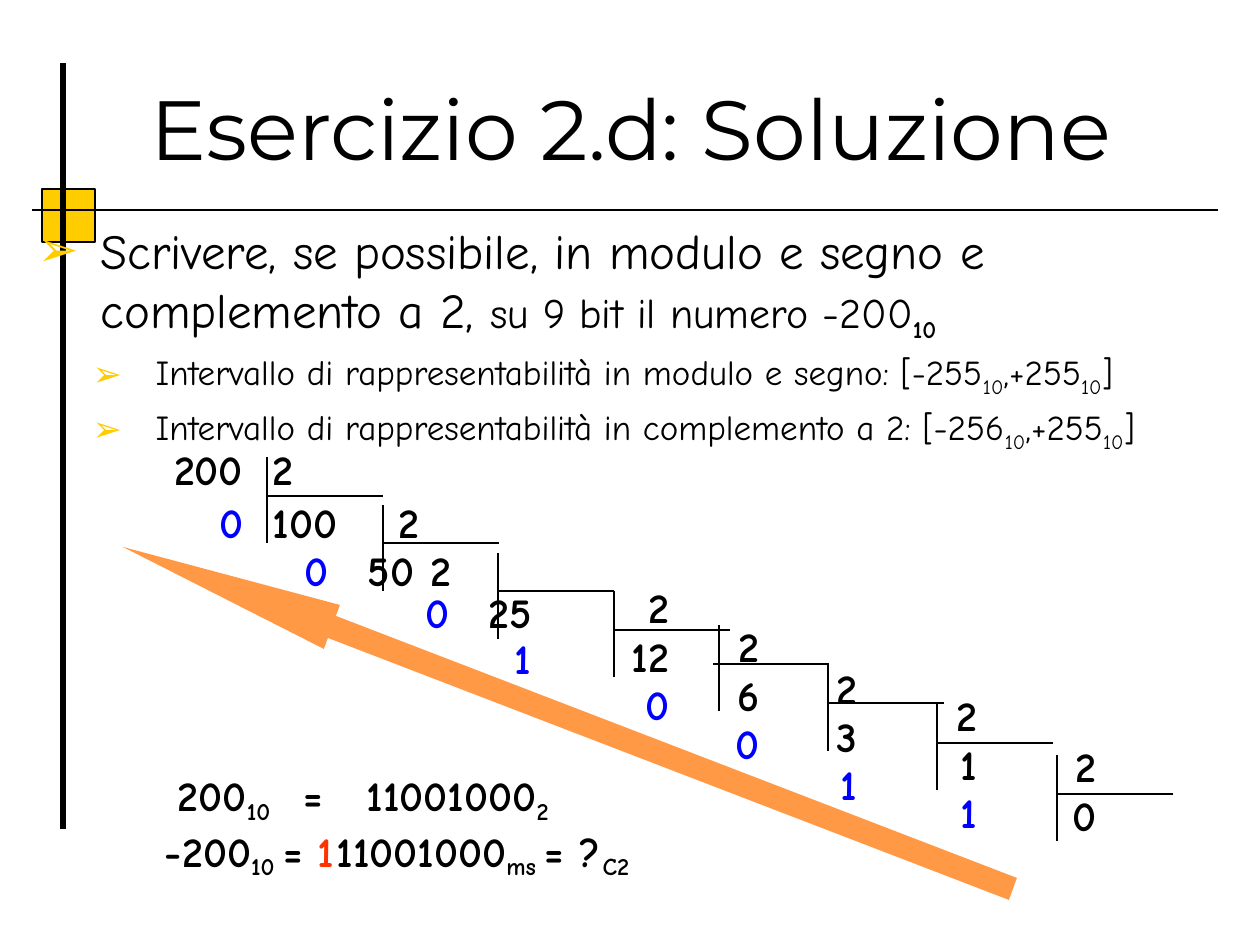
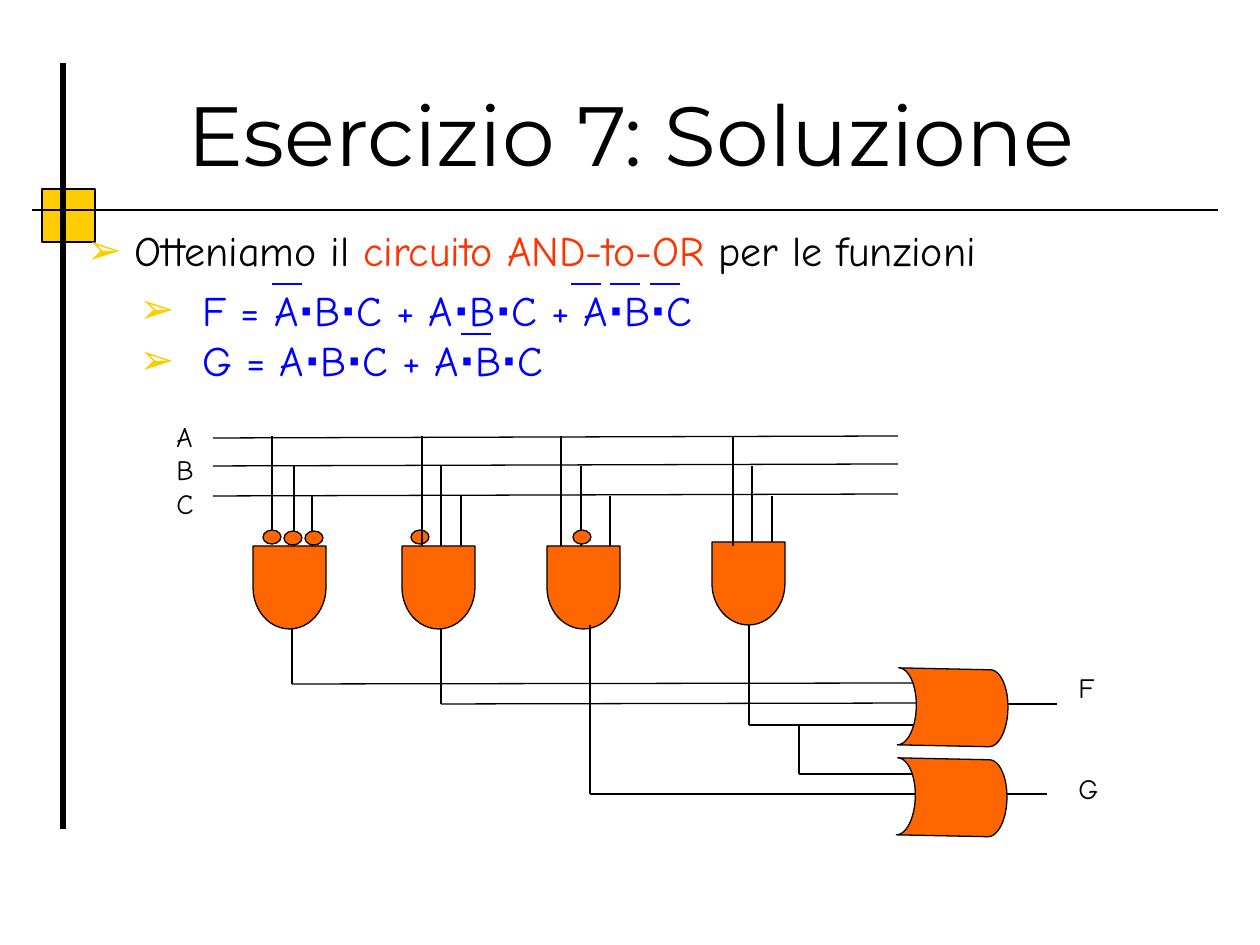
from lxml import etree
from pptx import Presentation
from pptx.dml.color import RGBColor
from pptx.enum.shapes import MSO_CONNECTOR, MSO_SHAPE
from pptx.enum.text import MSO_ANCHOR, MSO_AUTO_SIZE, PP_ALIGN
from pptx.oxml.ns import qn
from pptx.util import Inches, Pt

PX = 7257
COLORS = {"black": "000000", "yellow": "FFCC00", "blue": "0000FF", "red": "FF3300",
          "arrow": "FF9946", "gate": "FF6600"}
BODY_FONT = "Comic Neue"
SUB = {"baseline": "-25000"}
LOW = {"baseline": "-20000"}


def write(tf, *runs, size=24, color="black", font=BODY_FONT, bold=False, align=None,
          left=0, indent=0, before=0, spacing=1.0, bullet=False, tabs=(), level=0):
    p = tf.add_paragraph() if tf.text else tf.paragraphs[0]
    p.level, p.alignment = level, align
    p.line_spacing, p.space_before = spacing, Pt(before)
    pPr = p._p.get_or_add_pPr()
    pPr.set("marL", str(left * PX))
    pPr.set("indent", str(indent * PX))
    if bullet:
        clr = etree.SubElement(pPr, qn("a:buClr"))
        etree.SubElement(clr, qn("a:srgbClr"), val=COLORS["yellow"])
        etree.SubElement(pPr, qn("a:buFont"), typeface="Arial")
        etree.SubElement(pPr, qn("a:buChar"), char="➢")
    if tabs:
        tab_list = etree.SubElement(pPr, qn("a:tabLst"))
        for pos in tabs:
            etree.SubElement(tab_list, qn("a:tab"), pos=str(pos * PX), algn="l")
    for run in runs:
        text, fmt = (run, {}) if isinstance(run, str) else run
        r = p.add_run()
        r.text = text
        r.font.name = fmt.get("font", font)
        r.font.size = Pt(fmt.get("size", size))
        r.font.bold = fmt.get("bold", bold)
        r.font.color.rgb = RGBColor.from_string(COLORS[fmt.get("color", color)])
        for key in ("baseline", "spc"):
            if key in fmt:
                r._r.get_or_add_rPr().set(key, fmt[key])


def line(s, x1, y1, x2, y2, color="black", width=0.75):
    c = s.shapes.add_connector(MSO_CONNECTOR.STRAIGHT, x1 * PX, y1 * PX, x2 * PX, y2 * PX)
    c.line.color.rgb = RGBColor.from_string(COLORS[color])
    c.line.width = Pt(width)
    etree.SubElement(c._element.spPr, qn("a:effectLst"))
    return c


prs = Presentation()
prs.slide_width, prs.slide_height = Inches(10), Inches(7.5)
layout = prs.slide_layouts[1]
slides = []
for title, title_y, body_at in [
    ("Esercizio 2.d: Soluzione", 26, (25, 214, 1235, 586)),
    ("Esercizio 7: Soluzione", 32, (74, 224, 1131, 684)),
]:
    s = prs.slides.add_slide(layout)
    slides.append(s)
    for sp, at in zip(s.placeholders, [(55, title_y, 1152, 158), body_at]):
        sp.left, sp.top, sp.width, sp.height = [v * PX for v in at]
        sp.text_frame.auto_size = MSO_AUTO_SIZE.NONE
        sp.text_frame.word_wrap = True
    s.shapes.title.text_frame.vertical_anchor = MSO_ANCHOR.BOTTOM
    write(s.shapes.title.text_frame, title, size=48, font="Montserrat", align=PP_ALIGN.CENTER)
division, circuit = slides

square = division.shapes.add_shape(MSO_SHAPE.RECTANGLE, 42 * PX, 189 * PX, 53 * PX, 53 * PX)
square.shadow.inherit = False
square.fill.solid()
square.fill.fore_color.rgb = RGBColor.from_string(COLORS["yellow"])
square.line.color.rgb = RGBColor.from_string(COLORS["black"])
square.line.width = Pt(0.75)
rules = [line(division, 63, 829, 63, 63, width=3), line(division, 32, 210, 1218, 210)]
for i, sp in enumerate([square, *rules]):
    sp._element._nvXxPr.cNvPr.set("id", str(20 + i))
    prs.slide_master.shapes._spTree.append(sp._element)

tf = division.placeholders[1].text_frame
write(tf, "Scrivere, se possibile, in modulo e segno e complemento a 2, ",
      ("su 9 bit il numero -200", {"size": 24}), ("10", {"size": 24, "bold": True, **SUB}),
      size=28, left=63, indent=-63, bullet=True)
for name, low in [("modulo e segno", "255"), ("complemento a 2", "256")]:
    write(tf, f"Intervallo di rappresentabilità in {name}: [-{low}", ("10", SUB),
          ",+255", ("10", SUB), "]", size=20, left=118, indent=-63, before=4,
          bullet=True, level=1)

for vx, vy, hx, hy in [
    (267, 457, 267, 496), (383, 505, 383, 543), (498, 553, 498, 591), (614, 591, 614, 630),
    (719, 625, 713, 664), (828, 665, 828, 703), (937, 704, 937, 743), (1057, 755, 1057, 794),
]:
    line(division, vx, vy, vx, vy + 86)
    line(division, hx, hy, hx + 116, hy)

arrow = division.shapes.build_freeform(123, 547, scale=PX)
arrow.add_line_segments([(324, 649), (328, 638), (1009, 900), (1017, 878), (336, 616), (340, 605)])
sp = arrow.convert_to_shape()
sp.shadow.inherit = False
sp.fill.solid()
sp.fill.fore_color.rgb = RGBColor.from_string(COLORS["arrow"])
sp.line.fill.background()

frames = []
for s, x, y, w, h, inset in [
    (division, 160, 444, 83, 103, 0), (division, 600, 582, 69, 193, 0),
    (division, 730, 621, 29, 193, 0), (division, 828, 662, 29, 193, 0),
    (division, 948, 690, 29, 193, 0), (division, 1067, 741, 29, 193, 0),
    (division, 272, 444, 556, 240, 0), (division, 164, 770, 1060, 111, 0),
    (circuit, 164, 413, 49, 146, 1), (circuit, 1066, 664, 59, 200, 1),
    (circuit, 64, 278, 1190, 113, 1),
]:
    tf = s.shapes.add_textbox(x * PX, y * PX, w * PX, h * PX).text_frame
    tf.word_wrap = True
    tf.margin_left = tf.margin_right = Inches(0.1 * inset)
    tf.margin_top = tf.margin_bottom = Inches(0.05 * inset)
    frames.append(tf)
*columns, steps, results, inputs, outputs, formulas = frames

BLUE = {"color": "blue"}
digits = [["200", ("0", BLUE)], ["2", "12", ("0", BLUE)], ["2", "6", ("0", BLUE)],
          ["2", "3", ("1", BLUE)], ["2", "1", ("1", BLUE)], ["2", "0"]]
for tf, column in zip(columns, digits):
    for i, digit in enumerate(column):
        exact = i > 0 and tf is not columns[0]
        write(tf, digit, bold=True, align=PP_ALIGN.RIGHT, before=1.2 if i else 0,
              spacing=Pt(26.4) if exact else 1.0)

write(steps, "2", bold=True, left=1)
write(steps, "100\t2", bold=True, left=1, before=1.2, tabs=[127])
write(steps, ("0", BLUE), "\t50\t2", bold=True, left=33, before=1.2,
      spacing=Pt(26.4), tabs=[133, 243])
write(steps, ("0", BLUE), "\t25", bold=True, left=154, spacing=Pt(24), tabs=[130])
write(steps, "1", color="blue", bold=True, left=243, spacing=Pt(26.4))

write(results, "200", ("10", LOW), "\t=\t11001000", ("2", LOW), bold=True, left=14,
      tabs=[110, 165])
write(results, "-200", ("10 ", LOW), "= ", ("1", {"color": "red", "spc": "140"}), "11001000",
      ("ms ", LOW), "= ", ("?", {"spc": "140"}), ("C2", LOW), bold=True, left=1)

write(circuit.placeholders[1].text_frame, "Otteniamo il ",
      ("circuito AND-to-OR", {"color": "red"}), " per le funzioni",
      left=48, indent=-48, spacing=0.9, bullet=True)
for name in "ABC":
    write(inputs, name, size=16)
for name, gap in [("F", 0), ("G", 39)]:
    write(outputs, name, size=16, before=gap)
dot = ("⋅", {"font": "Arial", "bold": True})
for formula in ["F = A⋅B⋅C + A⋅B⋅C + A⋅B⋅C", "G = A⋅B⋅C + A⋅B⋅C"]:
    runs = [run for part in formula.split("⋅") for run in (part, dot)][:-1]
    write(formulas, *runs, color="blue", left=126, indent=-63, bullet=True)

for x, y in [(272, 284), (571, 284), (610, 284), (650, 284), (461, 334)]:
    line(circuit, x, y, x + 30, y, color="blue", width=1.5)

for y, xs in [(436, [272]), (466, [294, 441, 581, 752]), (496, [312, 461, 610, 772])]:
    for x in xs:
        line(circuit, x, y, x, y + 100)
for wire in [
    (213, 438, 898, 436), (213, 466, 898, 464), (213, 496, 898, 494),
    (292, 585, 292, 684), (292, 684, 919, 683), (441, 605, 441, 704), (441, 704, 940, 703),
    (749, 625, 749, 725), (749, 725, 961, 725), (799, 725, 799, 774), (799, 774, 978, 774),
    (590, 794, 987, 794), (948, 704, 1057, 704), (937, 794, 1047, 794),
]:
    line(circuit, *wire)

for kind, w, h, angle, places in [
    (MSO_SHAPE.FLOWCHART_DELAY, 83, 73, 90, [(248, 551), (397, 551), (542, 551), (707, 547)]),
    (MSO_SHAPE.OVAL, 14, 18, 268.2,
     [(265, 528), (286, 529), (307, 529), (413, 528), (575, 528)]),
    (MSO_SHAPE.FLOWCHART_STORED_DATA, 110, 77, 181.2, [(898, 669), (897, 759)]),
]:
    for x, y in places:
        sp = circuit.shapes.add_shape(kind, x * PX, y * PX, w * PX, h * PX)
        sp.rotation = angle
        sp.shadow.inherit = False
        sp.fill.solid()
        sp.fill.fore_color.rgb = RGBColor.from_string(COLORS["gate"])
        sp.line.color.rgb = RGBColor.from_string(COLORS["black"])
        sp.line.width = Pt(0.75)

for x in (422, 561, 733):
    line(circuit, x, 436, x, 546)
line(circuit, 590, 625, 590, 794)

prs.save("out.pptx")
